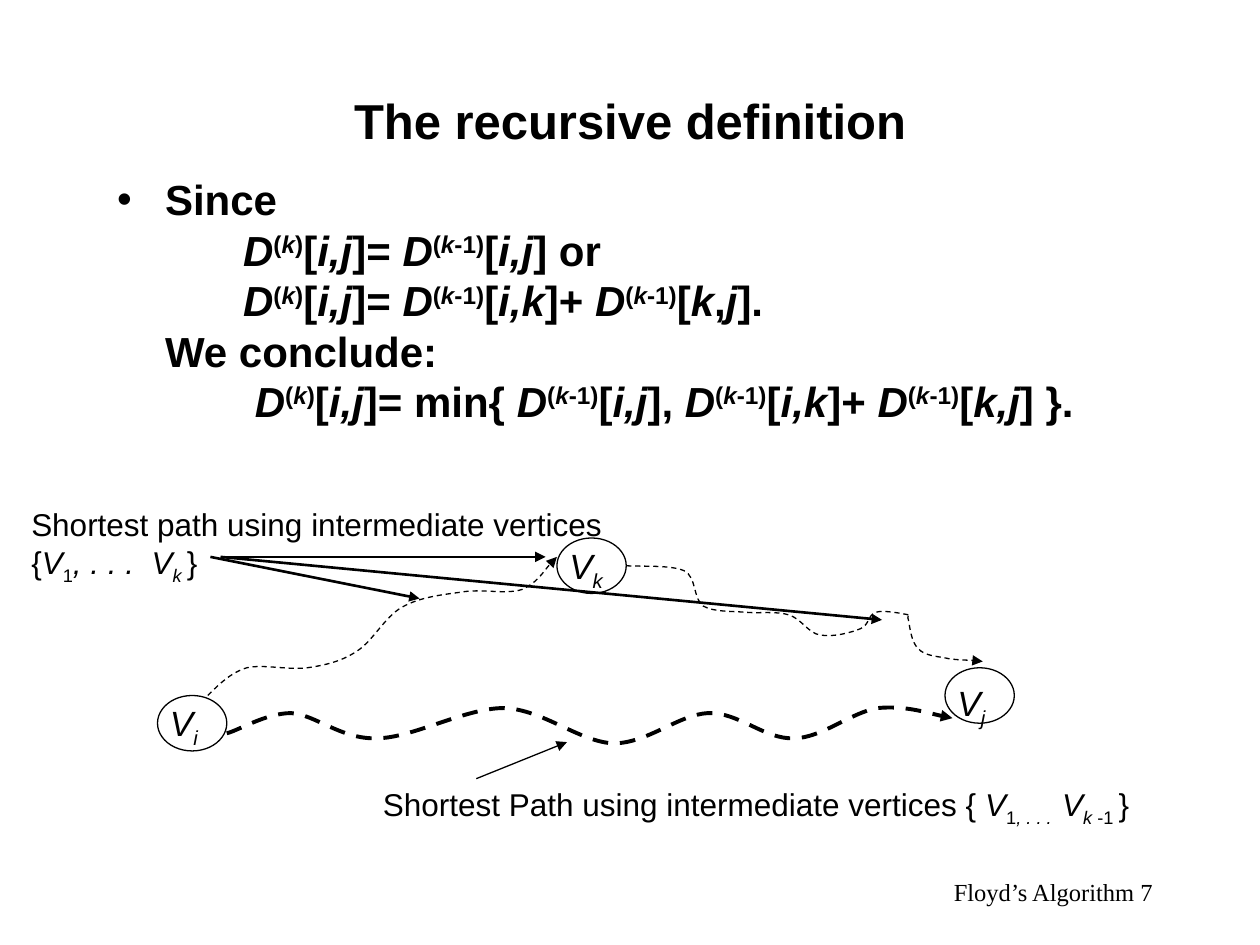
from dataclasses import dataclass
from lxml.etree import SubElement
from pptx import Presentation
from pptx.dml.color import RGBColor
from pptx.enum.dml import MSO_LINE
from pptx.enum.shapes import MSO_CONNECTOR, MSO_SHAPE
from pptx.enum.text import MSO_ANCHOR, MSO_AUTO_SIZE, PP_ALIGN
from pptx.oxml.ns import qn
from pptx.util import Inches, Pt


@dataclass
class Theme:
    ink: RGBColor = RGBColor(0, 0, 0)
    sans: str = "Arial"
    serif: str = "Times New Roman"
    title: int = 28
    body: int = 24
    vertex: int = 20
    note: int = 18
    footer: int = 14
    thin: float = 0.74
    medium: float = 1.5
    thick: float = 2.24


theme = Theme()


def write(tf, text, size, font=theme.sans, bold=False, align=PP_ALIGN.LEFT,
          anchor=MSO_ANCHOR.TOP, wrap=True):
    tf.word_wrap, tf.vertical_anchor, tf.auto_size = wrap, anchor, MSO_AUTO_SIZE.NONE
    p = tf.paragraphs[0]
    p.alignment = align
    italic, base, run = False, 0, ""
    shifts = {"^": 30000, "_": -25000}
    for ch in text + "\0":
        if ch not in "*^_\n\0":
            run += ch
            continue
        if run:
            r = p.add_run()
            r.text = run
            f = r.font
            f.name, f.size, f.bold, f.italic = font, Pt(size), bold, italic
            f.color.rgb = theme.ink
            if base:
                r._r.get_or_add_rPr().set("baseline", str(base))
            run = ""
        if ch == "*":
            italic = not italic
        elif ch in shifts:
            base = 0 if base else shifts[ch]
        elif ch == "\n":
            p.add_line_break()
    return p


def stroke(sp, width, arrow=True, dashed=False):
    sp.line.color.rgb = theme.ink
    sp.line.width = Pt(width)
    if dashed:
        sp.line.dash_style = MSO_LINE.DASH
    if arrow:
        SubElement(sp.line._get_or_add_ln(), qn("a:tailEnd"), type="triangle")


prs = Presentation()
prs.slide_width, prs.slide_height = Inches(10), Inches(7.5)
s = prs.slides.add_slide(prs.slide_layouts[1])

title, body = s.shapes.title, s.placeholders[1]
for sp, box in ((title, (0.75, 0.33, 8.5, 1.25)), (body, (0.83, 1.33, 8.5, 2.42))):
    sp.left, sp.top, sp.width, sp.height = map(Inches, box)
write(title.text_frame, "The recursive definition", theme.title, bold=True,
      align=PP_ALIGN.CENTER, anchor=MSO_ANCHOR.MIDDLE)

dk, prev = "*D*^(*k*)^", "*D*^(*k*-1)^"
p = write(body.text_frame,
          f"Since \n\t{dk}[*i,j*]= {prev}[*i,j*] or"
          f"\n\t{dk}[*i,j*]= {prev}[*i,k*]+ {prev}[*k*,*j*]."
          f"\nWe conclude: \n\t {dk}[*i,j*]= min{{ {prev}[*i,j*], "
          f"{prev}[*i,k*]+ {prev}[*k,j*] }}.",
          theme.body, bold=True)
p.space_before = Pt(6)
pPr = p._p.get_or_add_pPr()
pPr.set("marL", str(Inches(0.38)))
pPr.set("indent", str(-Inches(0.38)))
SubElement(pPr, qn("a:buChar"), char="•")
tabs = SubElement(pPr, qn("a:tabLst"))
SubElement(tabs, qn("a:tab"), pos=str(Inches(1)), algn="l")

vertices = [
    ("i", 1.25, 5.52, 5.52, 0.55),
    ("k", 4.42, 4.27, 4.27, 0.63),
    ("j", 7.5, 5.3, 5.36, 0.49),
]
for name, x, y, label_y, label_w in vertices:
    sp = s.shapes.add_shape(MSO_SHAPE.OVAL, Inches(x), Inches(y), Inches(0.55), Inches(0.44))
    sp.shadow.inherit = False
    sp.fill.background()
    stroke(sp, theme.thin, arrow=False)
    tb = s.shapes.add_textbox(Inches(x), Inches(label_y), Inches(label_w), Inches(0.48))
    write(tb.text_frame, f"*V_{name}_*", theme.vertex)

paths = [
    (theme.thick, [
        (1.8, 5.82), (1.89, 5.8), (2.11, 5.66), (2.31, 5.66), (2.5, 5.67), (2.71, 5.87),
        (2.99, 5.86), (3.27, 5.86), (3.69, 5.62), (4, 5.62), (4.31, 5.63), (4.6, 5.89),
        (4.87, 5.9), (5.14, 5.9), (5.39, 5.67), (5.62, 5.66), (5.86, 5.65), (6.07, 5.87),
        (6.3, 5.86), (6.52, 5.86), (6.76, 5.65), (6.97, 5.62), (7.18, 5.6), (7.44, 5.68),
        (7.56, 5.7)]),
    (theme.thin, [
        (1.65, 5.52), (1.74, 5.43), (1.83, 5.34), (1.96, 5.3), (2.09, 5.27), (2.29, 5.32),
        (2.44, 5.3), (2.58, 5.28), (2.71, 5.25), (2.83, 5.17), (2.96, 5.09), (3.05, 4.9),
        (3.19, 4.82), (3.33, 4.74), (3.51, 4.72), (3.66, 4.7), (3.82, 4.67), (4.01, 4.72),
        (4.14, 4.68), (4.26, 4.63), (4.36, 4.47), (4.42, 4.42)]),
    (theme.thin, [
        (4.97, 4.49), (5.05, 4.5), (5.32, 4.48), (5.43, 4.53), (5.53, 4.58), (5.5, 4.75),
        (5.58, 4.81), (5.67, 4.86), (5.81, 4.85), (5.92, 4.86), (6.03, 4.87), (6.16, 4.85),
        (6.26, 4.88), (6.36, 4.91), (6.42, 5.03), (6.51, 5.04), (6.61, 5.06), (6.76, 5.02),
        (6.83, 4.99), (6.9, 4.96), (6.89, 4.88), (6.95, 4.86), (7.01, 4.84), (7.16, 4.87),
        (7.21, 4.88), (7.25, 4.89), (7.19, 4.87), (7.21, 4.92), (7.22, 4.96), (7.23, 5.1),
        (7.29, 5.15), (7.34, 5.21), (7.46, 5.21), (7.54, 5.23), (7.63, 5.24), (7.75, 5.24),
        (7.8, 5.25)]),
]
for width, points in paths:
    pts = [(Inches(x), Inches(y)) for x, y in points]
    fb = s.shapes.build_freeform(*pts[0])
    fb.add_line_segments(pts[1:], close=False)
    sp = fb.convert_to_shape()
    sp.shadow.inherit = False
    sp.fill.background()
    stroke(sp, width, dashed=True)
    outline = next(sp._element.iter(qn("a:path")))
    segments = outline.findall(qn("a:lnTo"))
    for n in range(0, len(segments), 3):
        curve = SubElement(outline, qn("a:cubicBezTo"))
        for seg in segments[n:n + 3]:
            curve.append(seg[0])
            outline.remove(seg)

arrows = [
    (3.78, 6.18, 4.5, 5.89, theme.thin),
    (1.67, 4.42, 3.33, 4.75, theme.medium),
    (1.75, 4.42, 7, 4.92, theme.medium),
    (1.75, 4.42, 4.33, 4.42, 1),
]
for *ends, width in arrows:
    cn = s.shapes.add_connector(MSO_CONNECTOR.STRAIGHT, *map(Inches, ends))
    stroke(cn, width)
    SubElement(cn._element.spPr, qn("a:effectLst"))

notes = [
    ((2.94, 6.18, 6.12, 0.44),
     "Shortest Path using intermediate vertices { *V*_1*, . . .  *_*V_k_*_ -1 _}", {}),
    ((0.15, 3.96, 4.73, 0.74),
     "Shortest path using intermediate vertices\n{*V*_1_*, . . .  V_k _*}", {}),
    ((7.17, 6.83, 2.08, 0.5), "Floyd’s Algorithm 7",
     dict(size=theme.footer, font=theme.serif, align=PP_ALIGN.RIGHT, anchor=MSO_ANCHOR.MIDDLE)),
]
for box, text, style in notes:
    tb = s.shapes.add_textbox(*map(Inches, box))
    write(tb.text_frame, text, **{"size": theme.note, "wrap": False, **style})

prs.save("out.pptx")
